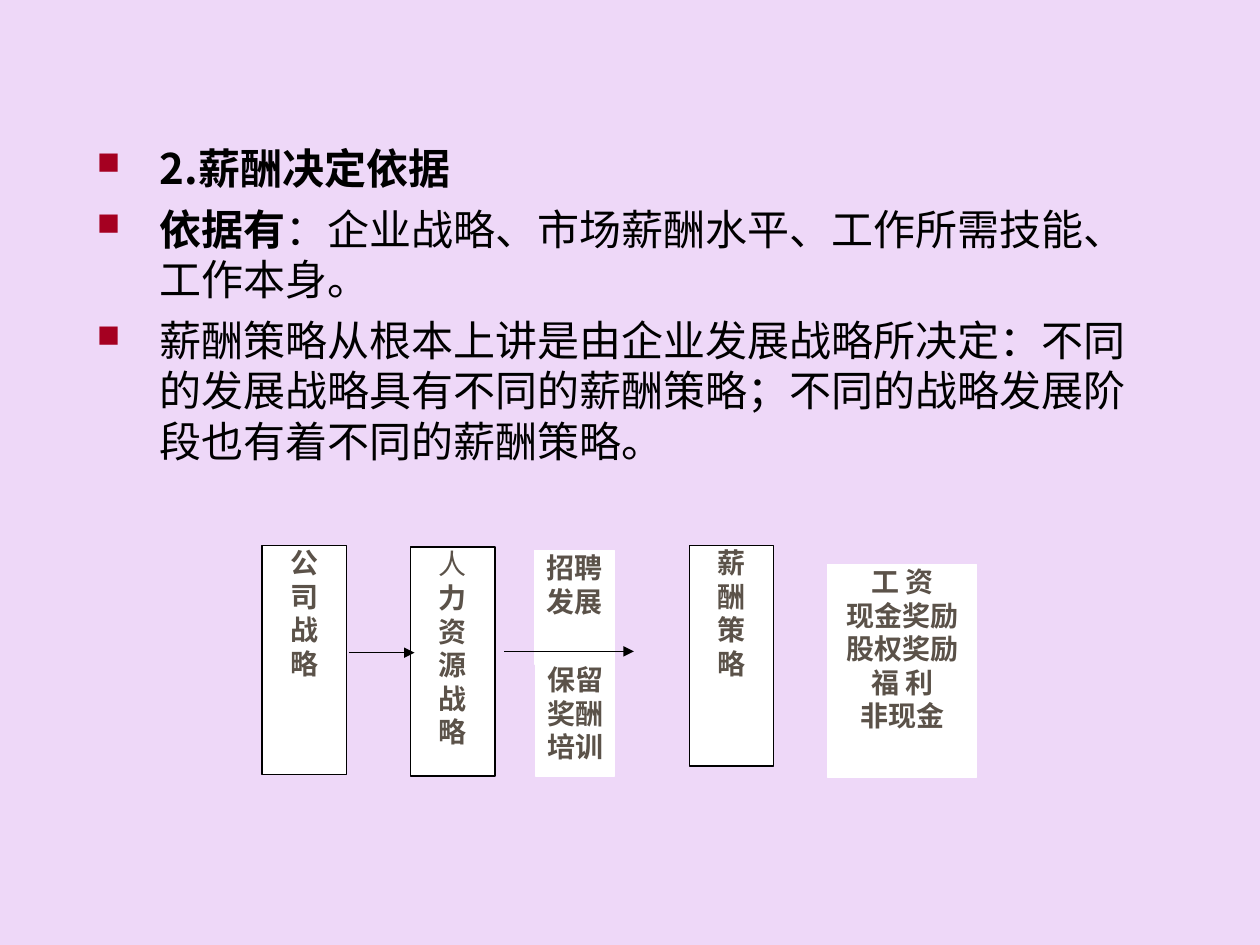
from pptx import Presentation
from pptx.dml.color import RGBColor
from pptx.enum.shapes import MSO_CONNECTOR as Conn, MSO_SHAPE as Shape
from pptx.enum.text import MSO_ANCHOR as Anchor, PP_ALIGN as Align
from pptx.oxml.ns import qn
from pptx.util import Inches, Pt
from lxml.etree import SubElement

CJK = "Noto Sans CJK SC"
INK = "5B5249"
BLACK = "000000"
WHITE = "FFFFFF"

BULLETS = [
    [("2.薪酬决定依据", True)],
    [("依据有", True), ("：企业战略、市场薪酬水平、工作所需技能、工作本身。", False)],
    [("薪酬策略从根本上讲是由企业发展战略所决定：不同的发展战略具有不同的薪酬策略；"
      "不同的战略发展阶段也有着不同的薪酬策略。", False)],
]

BOXES = [
    (2.08, 4.33, 0.67, 1.82, BLACK, "公司战略"),
    (3.26, 4.34, 0.67, 1.82, BLACK, "人力资源战略"),
    (4.24, 4.37, 0.64, 0.9, WHITE, ["招聘", "发展"]),
    (4.25, 5.26, 0.63, 0.9, WHITE, ["保留", "奖酬", "培训"]),
    (5.47, 4.33, 0.67, 1.75, BLACK, "薪酬策略"),
    (6.57, 4.48, 1.18, 1.69, WHITE, ["工 资", "现金奖励", "股权奖励", "福 利", "非现金"]),
]

ARROWS = [(2.77, 3.29, 5.18), (4, 5.03, 5.17)]


def rgb(value):
    return RGBColor.from_string(value)


def add_run(p, text, size=16, font="Times New Roman", color=INK, bold=True):
    r = p.add_run()
    r.text = text
    r.font.size = Pt(size)
    r.font.bold = bold
    r.font.color.rgb = rgb(color)
    r.font.name = font
    SubElement(r.font._element, qn("a:ea"), typeface=CJK)


def set_bullet(p):
    pPr = p._p.get_or_add_pPr()
    pPr.set("marL", str(Inches(0.5)))
    pPr.set("indent", str(-Inches(0.5)))
    color = SubElement(pPr, qn("a:buClr"))
    SubElement(color, qn("a:srgbClr"), val="A50021")
    SubElement(pPr, qn("a:buSzPct"), val="75000")
    SubElement(pPr, qn("a:buChar"), char="■")


def add_paragraphs(tf, items):
    for i, item in enumerate(items):
        yield (tf.add_paragraph() if i else tf.paragraphs[0]), item


def add_bullets(s):
    tf = s.shapes.add_textbox(Inches(0.67), Inches(1.08), Inches(8.5), Inches(6)).text_frame
    tf.word_wrap = True
    for p, runs in add_paragraphs(tf, BULLETS):
        set_bullet(p)
        p.space_before = Pt(0 if runs is BULLETS[0] else 6)
        for text, bold in runs:
            add_run(p, text, size=24, font=CJK, color=BLACK, bold=bold)


def add_box(s, x, y, w, h, line, rows):
    sp = s.shapes.add_shape(Shape.RECTANGLE, Inches(x), Inches(y), Inches(w), Inches(h))
    sp.shadow.inherit = False
    sp.fill.solid()
    sp.fill.fore_color.rgb = rgb(WHITE)
    sp.line.color.rgb = rgb(line)
    sp.line.width = Pt(0.75)
    tf = sp.text_frame
    tf.word_wrap = True
    tf.vertical_anchor = Anchor.TOP
    tf.margin_left = tf.margin_right = tf.margin_top = tf.margin_bottom = 0
    for p, text in add_paragraphs(tf, rows):
        p.alignment = Align.CENTER
        add_run(p, text, bold=text != "人")


def add_arrow(s, x1, x2, y):
    line = s.shapes.add_connector(Conn.STRAIGHT, Inches(x1), Inches(y), Inches(x2), Inches(y))
    line.line.color.rgb = rgb(BLACK)
    line.line.width = Pt(0.75)
    SubElement(line.line._get_or_add_ln(), qn("a:tailEnd"), type="triangle")
    SubElement(line._element.spPr, qn("a:effectLst"))


def main():
    prs = Presentation()
    prs.slide_width, prs.slide_height = Inches(10), Inches(7.5)
    s = prs.slides.add_slide(prs.slide_layouts[6])
    s.background.fill.solid()
    s.background.fill.fore_color.rgb = rgb("EED8F8")
    add_bullets(s)
    for box in BOXES:
        add_box(s, *box)
    for arrow in ARROWS:
        add_arrow(s, *arrow)
    prs.save("out.pptx")


if __name__ == "__main__":
    main()
